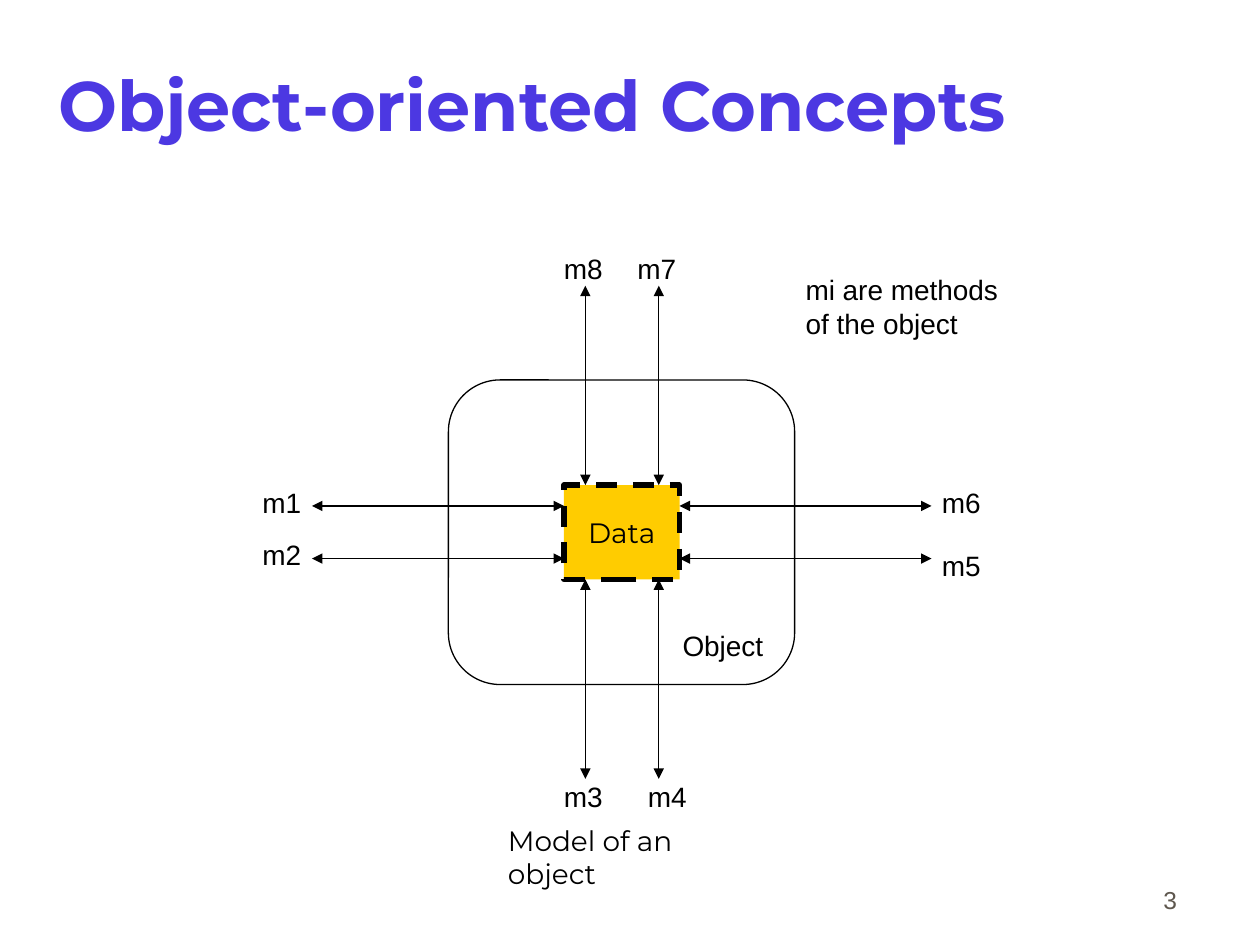
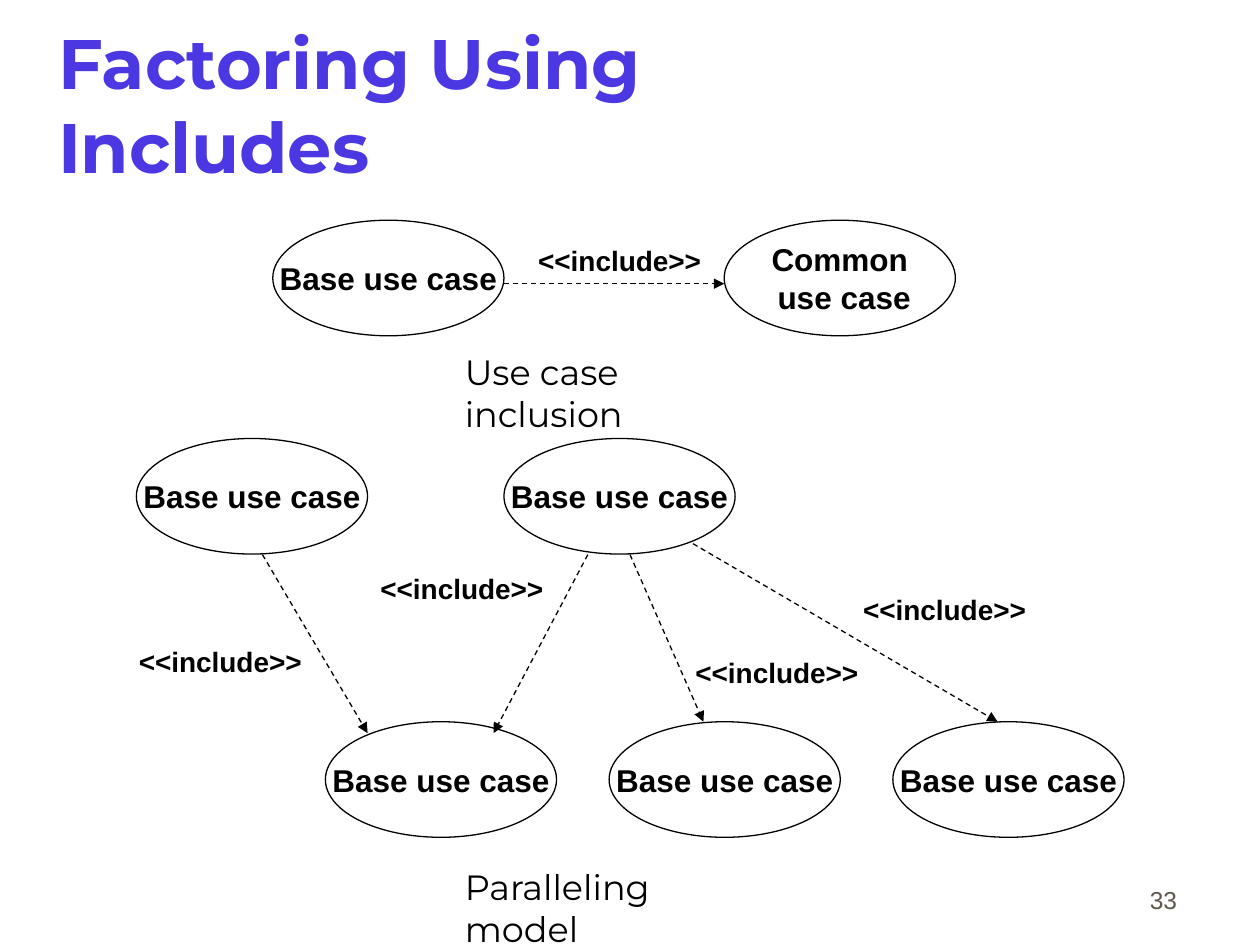
from copy import deepcopy
from dataclasses import dataclass
from typing import Optional

from pptx import Presentation
from pptx.dml.color import RGBColor
from pptx.enum import dml, shapes, text
from pptx.oxml import ns, xmlchemy
from pptx.util import Cm, Pt

# Shared style
BLACK, TITLE, NUMBER, DATA_FILL = "000000", "4C38E2", "5E574E", "FFCC00"
BODY_FONT, HEAD_FONT = "Arial", "Montserrat"
DASH = dml.MSO_LINE.DASH
ALIGN, ANCHOR, AUTO = text.PP_ALIGN, text.MSO_ANCHOR, text.MSO_AUTO_SIZE
KIND = shapes.MSO_SHAPE
TITLE_BOX = (1.12, 0.5, 21.59, 3.17)
NUMBER_BOX = (18.7, 17.3, 5.28, 1.27)


@dataclass
class Label:
    """A piece of free text; places and sizes are in centimetres."""
    text: str
    x: float
    y: float
    w: float = 0.79
    h: float = 0.69
    size: float = 16
    font: str = BODY_FONT
    bold: bool = False
    wrap: bool = False
    inset: tuple[float, float] = (0, 0)


@dataclass
class Arrow:
    x1: float
    y1: float
    x2: float
    y2: float
    both_ends: bool = False
    dashed: bool = False


@dataclass
class Node:
    kind: KIND
    x: float
    y: float
    w: float
    h: float
    text: str = ""
    size: float = 18
    font: str = BODY_FONT
    bold: bool = False
    fill: Optional[str] = None
    line: float = 0.75
    dashed: bool = False


def rgb(value: str) -> RGBColor:
    return RGBColor.from_string(value)


def box(*lengths: float) -> list[Cm]:
    return [Cm(v) for v in lengths]


def write(tf, content: str, *, size: float, font: str = BODY_FONT,
          color: str = BLACK, bold: bool = False, align=ALIGN.LEFT,
          anchor=ANCHOR.TOP, before: float = 0, wrap: bool = False,
          inset: tuple[float, float] = (0.25, 0.13), auto=AUTO.NONE) -> None:
    """Fill a text frame: \\n starts a paragraph, \\v breaks a line."""
    tf.text = content
    tf.word_wrap, tf.auto_size, tf.vertical_anchor = wrap, auto, anchor
    tf.margin_left = tf.margin_right = Cm(inset[0])
    tf.margin_top = tf.margin_bottom = Cm(inset[1])
    for p in tf.paragraphs:
        p.alignment, p.space_before = align, Pt(before)
        for r in p.runs:
            r.font.size, r.font.name, r.font.bold = Pt(size), font, bold
            r.font.color.rgb = rgb(color)
        for br in p._p.findall(ns.qn("a:br")):
            br.append(deepcopy(p.runs[0]._r.rPr))


def add_slide(prs, title: str, number: int):
    s = prs.slides.add_slide(prs.slide_layouts[5])
    sp = s.shapes.title
    sp.left, sp.top, sp.width, sp.height = box(*TITLE_BOX)
    write(sp.text_frame, title, size=40, font=HEAD_FONT, color=TITLE, bold=True,
          anchor=ANCHOR.MIDDLE, before=13.6, wrap=True, inset=(0.05, 0.13))
    sp = s.shapes.add_textbox(*box(*NUMBER_BOX))
    write(sp.text_frame, str(number), size=14, color=NUMBER, align=ALIGN.RIGHT,
          anchor=ANCHOR.BOTTOM, before=8.8, wrap=True)
    return s


def draw_label(s, item: Label) -> None:
    sp = s.shapes.add_textbox(*box(item.x, item.y, item.w, item.h))
    write(sp.text_frame, item.text, size=item.size, font=item.font,
          bold=item.bold, wrap=item.wrap, inset=item.inset,
          auto=AUTO.SHAPE_TO_FIT_TEXT)


def draw_caption(s, content: str, x: float, y: float, w: float, h: float,
                 size: float) -> None:
    draw_label(s, Label(content, x, y, w, h, size, HEAD_FONT, wrap=True,
                        inset=(0.25, 0.13)))


def style_line(line, width: float, dashed: bool) -> None:
    line.color.rgb, line.width = rgb(BLACK), Pt(width)
    if dashed:
        line.dash_style = DASH


def draw_node(s, item: Node):
    sp = s.shapes.add_shape(item.kind, *box(item.x, item.y, item.w, item.h))
    sp.shadow.inherit = False
    if item.fill:
        sp.fill.solid()
        sp.fill.fore_color.rgb = rgb(item.fill)
    else:
        sp.fill.background()
    style_line(sp.line, item.line, item.dashed)
    if item.text:
        write(sp.text_frame, item.text, size=item.size, font=item.font,
              bold=item.bold, align=ALIGN.CENTER, anchor=ANCHOR.MIDDLE)
    return sp


def draw_arrow(s, item: Arrow) -> None:
    sp = s.shapes.add_connector(shapes.MSO_CONNECTOR.STRAIGHT,
                                *box(item.x1, item.y1, item.x2, item.y2))
    style_line(sp.line, 0.75, item.dashed)
    ln = sp.line._get_or_add_ln()
    for end in ["a:headEnd"] * item.both_ends + ["a:tailEnd"]:
        tip = xmlchemy.OxmlElement(end)
        tip.set("type", "triangle")
        ln.append(tip)
    sp._element.spPr.append(xmlchemy.OxmlElement("a:effectLst"))


def object_slide(prs) -> None:
    s = add_slide(prs, "Object-oriented Concepts", 3)
    left, top, width, height = 11.37, 9.78, 2.33, 1.9
    right, bottom = left + width, top + height

    # Object and the data inside it
    sp = draw_node(s, Node(KIND.ROUNDED_RECTANGLE, 9.04, 7.66, 6.98, 6.14))
    sp.adjustments[0] = 0.17
    draw_node(s, Node(KIND.RECTANGLE, left, top, width, height, "Data", 16,
                      HEAD_FONT, fill=DATA_FILL, line=3, dashed=True))

    # Two method arrows on each side of the data
    across, down = 5.08, 4.02
    for y in (10.2, 11.26):
        draw_arrow(s, Arrow(left - across, y, left, y, both_ends=True))
        draw_arrow(s, Arrow(right, y, right + across, y, both_ends=True))
    for x in (11.8, 13.28):
        draw_arrow(s, Arrow(x, top - down, x, top, both_ends=True))
        draw_arrow(s, Arrow(x, bottom, x, bottom + down, both_ends=True))

    # Method names, m1 to m8
    places = [(5.29, top), (5.29, 10.84), (left, 15.71), (13.06, 15.71),
              (18.99, 11.05), (18.99, top), (12.85, 5.08), (left, 5.08)]
    for i, (x, y) in enumerate(places, 1):
        draw_label(s, Label(f"m{i}", x, y))
    draw_label(s, Label("Object", 13.76, 12.67, 1.63))
    draw_label(s, Label("mi are methods\nof the object", 16.24, 5.5, 3.89, 1.35))
    draw_caption(s, "Model of an object", 9.99, 16.47, 5.44, 0.94, 16)


def include_slide(prs) -> None:
    s = add_slide(prs, "Factoring Using \vIncludes", 33)

    # Use cases: inclusion pair, upper row, lower row
    base = "Base use case"
    low, step = 14.55, 5.72
    cases = [(5.5, 4.44, base), (14.6, 4.44, "Common\n use case"),
             (2.75, 8.84, base), (10.16, 8.84, base)]
    cases += [(6.56 + i * step, low, base) for i in range(3)]
    for x, y, name in cases:
        draw_node(s, Node(KIND.OVAL, x, y, 4.66, 2.33, name, bold=True))

    # Include relations
    for ends in [(10.16, 5.72, 14.6, 5.72), (5.29, 11.18, 7.41, 14.78),
                 (11.85, 11.18, 9.95, 14.78), (12.7, 11.18, 14.18, low),
                 (13.97, 10.96, 20.11, low)]:
        draw_arrow(s, Arrow(*ends, dashed=True))
    for x, y in [(10.6, 4.78), (2.55, 12.87), (7.42, 11.39), (13.77, 13.08),
                 (17.15, 11.81)]:
        draw_label(s, Label("<<include>>", x, y, 3.83, 0.94, bold=True,
                            inset=(0.25, 0.13)))

    # Captions
    draw_caption(s, "Use case inclusion", 9.12, 6.93, 6.55, 1.12, 20)
    draw_caption(s, "Paralleling model", 9.12, 17.32, 6.3, 1.12, 20)


def main() -> None:
    prs = Presentation()
    prs.slide_width, prs.slide_height = box(25.4, 19.05)
    object_slide(prs)
    include_slide(prs)
    prs.save("out.pptx")


if __name__ == "__main__":
    main()
